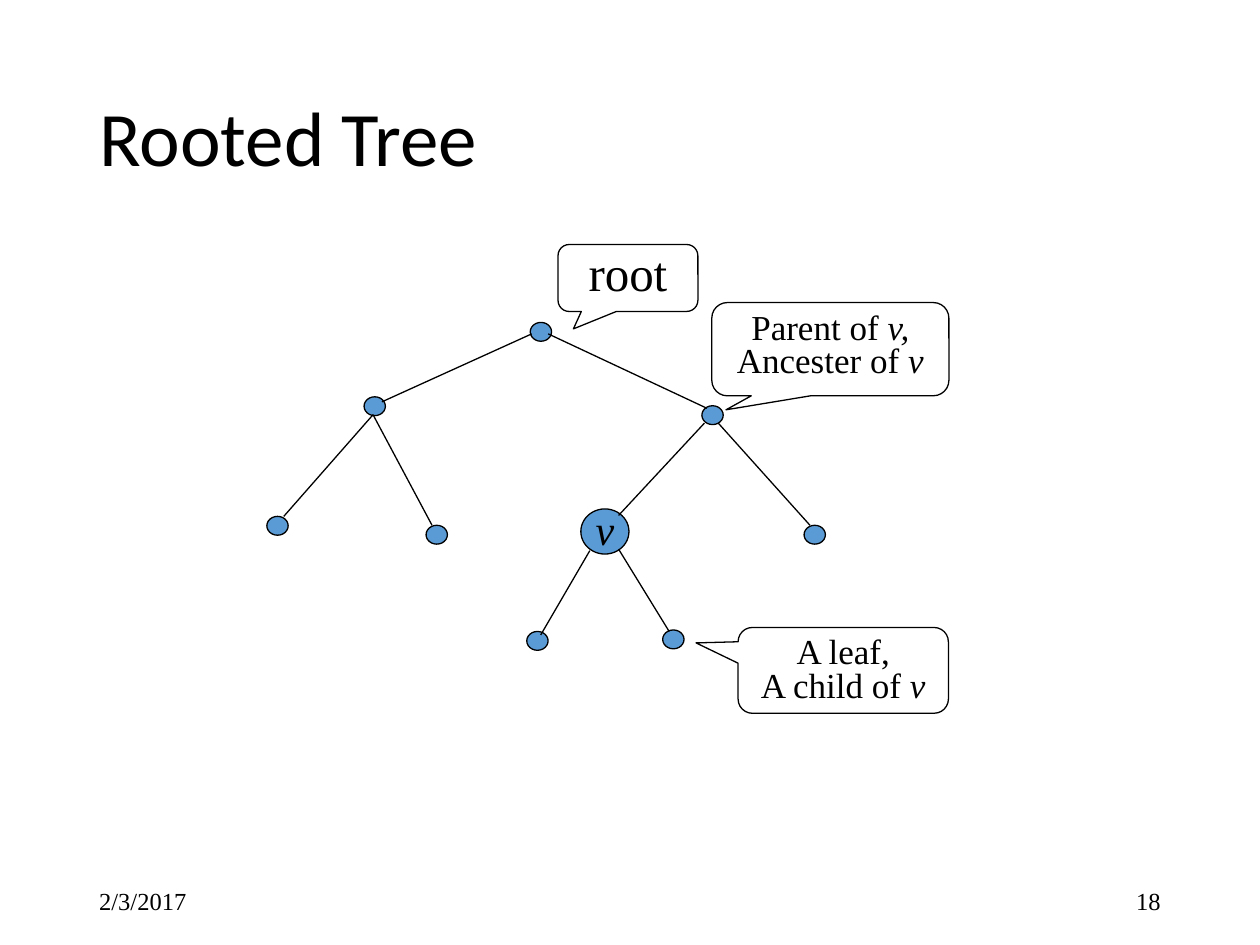
from pptx import Presentation
from pptx.dml.color import RGBColor
from pptx.enum import shapes as es, text as et
from pptx.oxml import ns, xmlchemy as xc
from pptx.util import Cm, Pt

HUES = {"ink": "000000", "node": "5B9BD5"}
SERIF = "Times New Roman"
DOT = (0.43, 0.38)
NODES = [(10.69, 6.5), (7.34, 8), (14.15, 8.18), (5.38, 10.41), (8.59, 10.59),
         (16.21, 10.59), (10.62, 12.73), (13.36, 12.7)]
EDGES = [(10.72, 6.73, 7.7, 8.1), (7.52, 8.36, 5.72, 10.41),
         (7.52, 8.36, 8.71, 10.59), (11.05, 6.73, 14.25, 8.23),
         (14.2, 8.53, 12.47, 10.39), (14.48, 8.53, 16.33, 10.59),
         (11.89, 11.1, 10.9, 12.8), (12.47, 11.07, 13.49, 12.73)]
CALLS = [((11.25, 4.93, 2.82, 1.35), (-0.39, 0.76), 28, ["root"]),
         ((14.35, 6.1, 4.78, 1.88), (-0.44, 0.65), 20,
          ["Parent of |v,", "Ancester of| v"]),
         ((14.88, 12.65, 4.24, 1.73), (-0.7, -0.32), 20,
          ["A leaf,", "A child of |v"])]


def hue(key):
    """Return the named colour."""
    return RGBColor.from_string(HUES[key])


def cms(nums):
    """Turn numbers into centimetre lengths."""
    return [Cm(n) for n in nums]


def write(frame, lines, size, align=et.PP_ALIGN.LEFT, space=None, face=SERIF):
    """Fill a frame; the part of a line after a bar is italic."""
    for i, line in enumerate(lines):
        par = frame.add_paragraph() if i else frame.paragraphs[0]
        par.alignment, par.line_spacing = align, space
        for j, piece in enumerate(line.split("|")):
            if not piece:
                continue
            run = par.add_run()
            run.text = piece
            run.font.name, run.font.size = face, Pt(size)
            run.font.italic = j == 1
            run.font.color.rgb = hue("ink")


def label(slide, box, line, size, align=et.PP_ALIGN.LEFT, wrap=True,
          anchor=et.MSO_ANCHOR.MIDDLE):
    """Add a one-line text box."""
    frame = slide.shapes.add_textbox(*cms(box)).text_frame
    frame.word_wrap, frame.vertical_anchor = wrap, anchor
    write(frame, [line], size, align)


def outline(shape):
    """Give a shape or line a thin dark stroke."""
    shape.line.color.rgb = hue("ink")
    shape.line.width = Pt(0.75)


def node(slide, box):
    """Add a tree node."""
    dot = slide.shapes.add_shape(es.MSO_SHAPE.OVAL, *cms(box))
    dot.shadow.inherit = False
    dot.fill.solid()
    dot.fill.fore_color.rgb = hue("node")
    outline(dot)


def edge(slide, ends):
    """Add a tree edge."""
    line = slide.shapes.add_connector(es.MSO_CONNECTOR.STRAIGHT, *cms(ends))
    outline(line)
    line._element.spPr.append(xc.OxmlElement("a:effectLst"))


def callout(slide, box, tip, size, lines):
    """Add a speech bubble that points at a node."""
    kind = es.MSO_SHAPE.ROUNDED_RECTANGULAR_CALLOUT
    bubble = slide.shapes.add_shape(kind, *cms(box))
    bubble.shadow.inherit = False
    bubble.fill.background()
    outline(bubble)
    bubble.adjustments[0], bubble.adjustments[1] = tip
    frame = bubble.text_frame
    frame.word_wrap, frame.vertical_anchor = True, et.MSO_ANCHOR.TOP
    write(frame, lines, size, et.PP_ALIGN.CENTER, 0.8)


def heading(slide, line):
    """Place and fill the title."""
    title = slide.shapes.title
    title.left, title.top, title.width, title.height = cms(
        (1.75, 1.02, 21.9, 3.68))
    title.text_frame.vertical_anchor = et.MSO_ANCHOR.MIDDLE
    write(title.text_frame, [line], 44, space=0.9, face="Calibri")


def main():
    """Build the slide."""
    deck = Presentation()
    deck.slide_width, deck.slide_height = cms((25.4, 19.05))
    slide = deck.slides.add_slide(deck.slide_layouts[5])
    heading(slide, "Rooted Tree")
    label(slide, (1.75, 17.65, 5.72, 1.02), "2/3/2017", 14)
    label(slide, (17.93, 17.65, 5.72, 1.02), "18", 14, et.PP_ALIGN.RIGHT)
    for spot in NODES:
        node(slide, spot + DOT)
    node(slide, (11.71, 10.26, 0.97, 0.91))
    for ends in EDGES:
        edge(slide, ends)
    label(slide, (11.76, 10.03, 0.79, 1.27), "|v", 24, wrap=False,
          anchor=et.MSO_ANCHOR.TOP)
    for call in CALLS:
        callout(slide, *call)
    deck.save("out.pptx")


if __name__ == "__main__":
    main()
